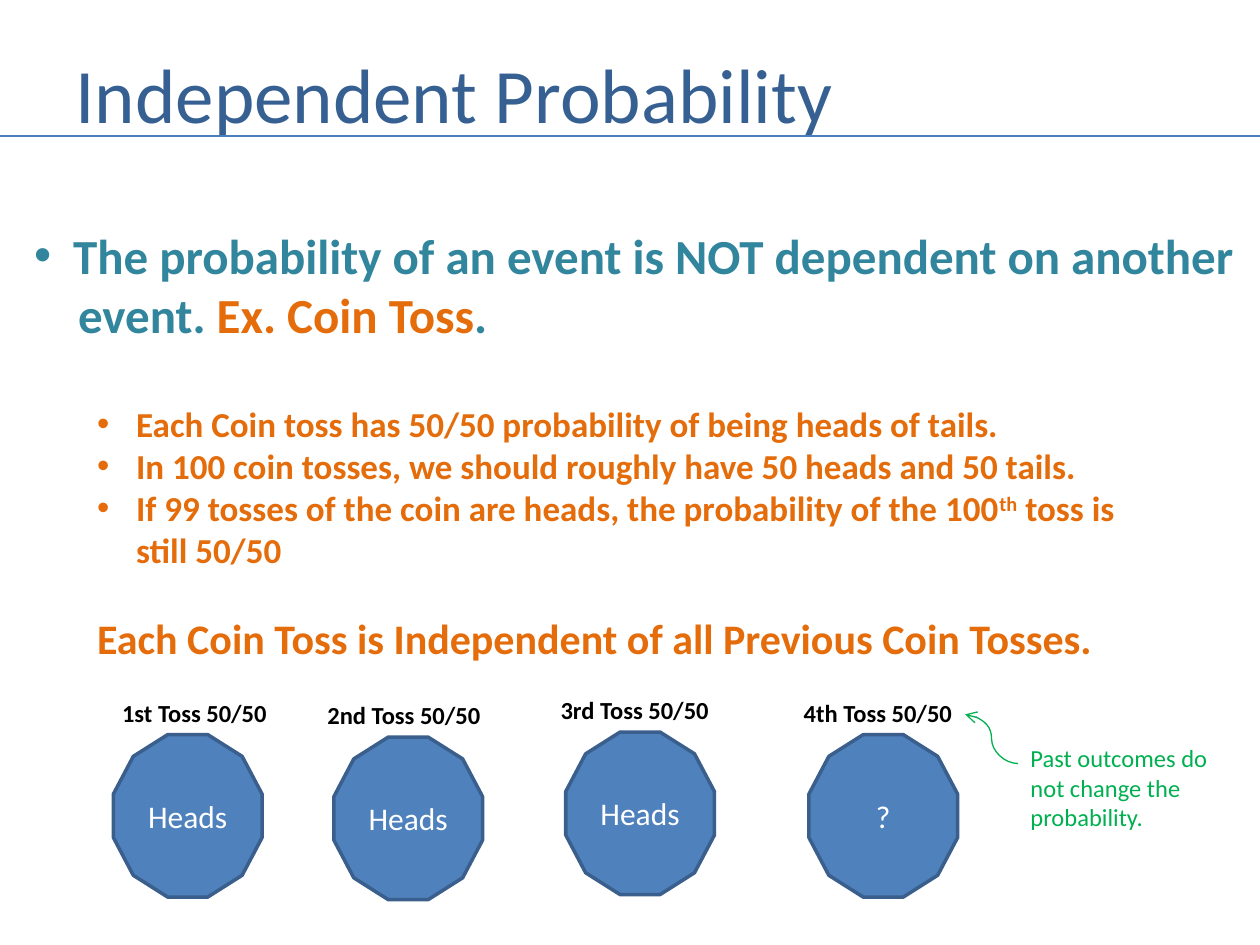
"""Build the slide on independent probability with its row of coin tosses."""
from lxml import etree
from pptx import Presentation
from pptx.dml.color import RGBColor
from pptx.enum.shapes import MSO_CONNECTOR, MSO_SHAPE
from pptx.enum.text import MSO_ANCHOR, MSO_AUTO_SIZE, PP_ALIGN
from pptx.oxml.ns import qn
from pptx.util import Inches, Pt

LEFT, CENTER = PP_ALIGN.LEFT, PP_ALIGN.CENTER
MIDDLE, TOP = MSO_ANCHOR.MIDDLE, MSO_ANCHOR.TOP
STRAIGHT, CURVE = MSO_CONNECTOR.STRAIGHT, MSO_CONNECTOR.CURVE
DODECAGON = MSO_SHAPE.DODECAGON
NO_AUTOFIT = MSO_AUTO_SIZE.NONE

FONT = "Calibri"
COLORS = {
    "title": "376092", "rule": "4B7EBC", "teal": "31859C", "orange": "E46C0A",
    "coin": "4F81BD", "coin_edge": "3A5F8C", "white": "FFFFFF",
    "black": "000000", "green": "00B050",
}


class SlideBuilder:
    """Hold the style and the current slide, and add each kind of element."""

    def __init__(self, slide):
        self.slide = slide

    def color(self, name):
        return RGBColor.from_string(COLORS[name])

    def place(self, shape, left, top, width, height):
        shape.left, shape.top = Inches(left), Inches(top)
        shape.width, shape.height = Inches(width), Inches(height)

    def run(self, paragraph, text, size, color, bold=False, baseline=None):
        run = paragraph.add_run()
        run.text = text
        run.font.name, run.font.size, run.font.bold = FONT, Pt(size), bold
        run.font.color.rgb = self.color(color)
        if baseline:
            run.font._element.set("baseline", str(baseline * 1000))

    def title(self, text, box):
        shape = self.slide.shapes.title
        self.place(shape, *box)
        frame = shape.text_frame
        frame.auto_size, frame.vertical_anchor = NO_AUTOFIT, MIDDLE
        frame.paragraphs[0].alignment = LEFT
        self.run(frame.paragraphs[0], text, 44, "title")

    def body(self, items, box):
        shape = self.slide.placeholders[1]
        self.place(shape, *box)
        frame = shape.text_frame
        frame.auto_size, frame.vertical_anchor = NO_AUTOFIT, TOP
        for index, (level, margin, bullet, gap, size, lines) in enumerate(items):
            paragraph = frame.add_paragraph() if index else frame.paragraphs[0]
            paragraph.level, paragraph.space_before = level, Pt(gap)
            properties = paragraph._p.get_or_add_pPr()
            properties.set("marL", str(Inches(margin)))
            properties.set("indent", str(Inches(-0.31 if bullet else 0)))
            if bullet:
                etree.SubElement(properties, qn("a:buChar")).set("char", "•")
            else:
                etree.SubElement(properties, qn("a:buNone"))
            for number, line in enumerate(lines):
                if number:
                    paragraph.add_line_break()
                for text, color, *baseline in line:
                    self.run(paragraph, text, size, color, True, *baseline)

    def label(self, lines, box, color, bold=False):
        frame = self.slide.shapes.add_textbox(*map(Inches, box)).text_frame
        frame.word_wrap = False
        for index, text in enumerate(lines):
            paragraph = frame.add_paragraph() if index else frame.paragraphs[0]
            self.run(paragraph, text, 14, color, bold)

    def coin(self, text, left, top):
        shape = self.slide.shapes.add_shape(
            DODECAGON, Inches(left), Inches(top), Inches(1.18), Inches(1.29))
        shape.shadow.inherit = False
        shape.fill.solid()
        shape.fill.fore_color.rgb = self.color("coin")
        shape.line.color.rgb = self.color("coin_edge")
        shape.line.width = Pt(2)
        shape.text_frame.vertical_anchor = MIDDLE
        paragraph = shape.text_frame.paragraphs[0]
        paragraph.alignment = CENTER
        self.run(paragraph, text, 18, "white")

    def connector(self, kind, start, end, color, width, arrow=False):
        connector = self.slide.shapes.add_connector(
            kind, *map(Inches, (*start, *end)))
        connector.line.color.rgb = self.color(color)
        connector.line.width = Pt(width)
        if arrow:
            line = connector.line._get_or_add_ln()
            etree.SubElement(line, qn("a:tailEnd")).set("type", "arrow")
        etree.SubElement(connector._element.spPr, qn("a:effectLst"))


def main():
    presentation = Presentation()
    presentation.slide_width, presentation.slide_height = Inches(10), Inches(7.5)
    slide = presentation.slides.add_slide(presentation.slide_layouts[1])
    builder = SlideBuilder(slide)

    builder.title("Independent Probability", (0.5, 0.3, 9.08, 0.87))
    builder.connector(STRAIGHT, (0, 1.08), (10, 1.08), "rule", 1.5)
    builder.body([
        (0, 0.31, True, 0, 28, [
            [("The probability of an event is NOT dependent on another", "teal")]]),
        (0, 0.35, False, 0, 28, [
            [("event. ", "teal"), ("Ex. Coin Toss", "orange"), (".", "teal")]]),
        (1, 0.81, True, 34, 20, [
            [("Each Coin toss has 50/50 probability of being heads of tails.", "orange")]]),
        (1, 0.81, True, 0, 20, [
            [("In 100 coin tosses, we should roughly have 50 heads and 50 tails.", "orange")]]),
        (1, 0.81, True, 0, 20, [
            [("If 99 tosses of the coin are heads, the probability of the 100", "orange"),
             ("th", "orange", 30), (" toss is ", "orange")],
            [("still 50/50", "orange")]]),
        (1, 0.5, False, 24, 24, [
            [("Each Coin Toss is Independent of all Previous Coin Tosses.", "orange")]]),
    ], (0.17, 1.74, 9.83, 3.6))

    tosses = [
        ("1st", "Heads", 0.9, 5.83, 0.87),
        ("2nd", "Heads", 2.65, 5.85, 2.5),
        ("3rd", "Heads", 4.49, 5.81, 4.35),
        ("4th", "?", 6.42, 5.83, 6.28),
    ]
    for ordinal, outcome, left, top, label_left in tosses:
        builder.coin(outcome, left, top)
        builder.label([f"{ordinal} Toss 50/50"],
                      (label_left, top - 0.34, 1.45, 0.34), "black", True)

    builder.label(["Past outcomes do", "not change the", "probability."],
                  (8.08, 5.85, 1.65, 0.81), "green")
    builder.connector(CURVE, (8.08, 6.06), (7.66, 5.67), "green", 0.75, True)
    presentation.save("out.pptx")


if __name__ == "__main__":
    main()
